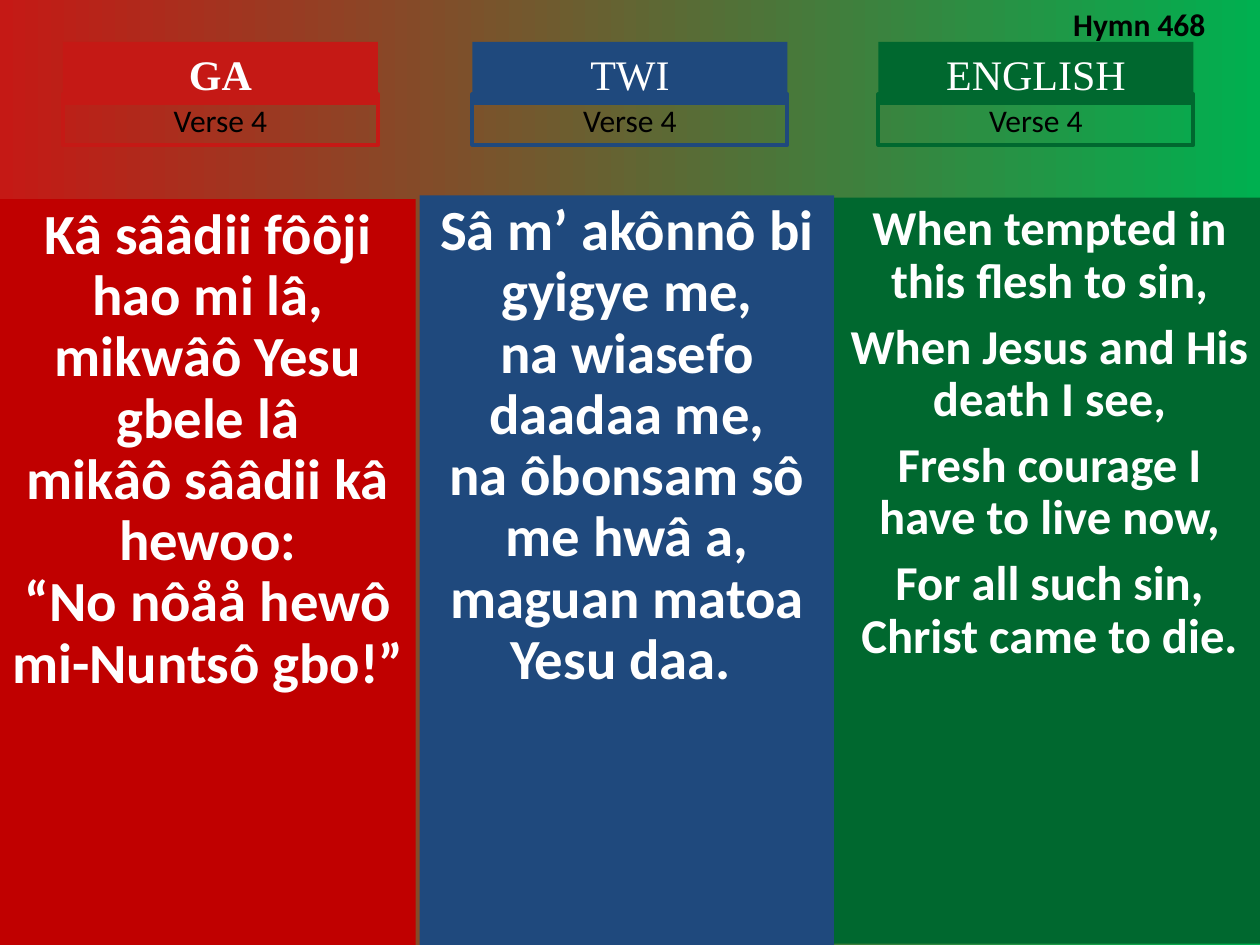
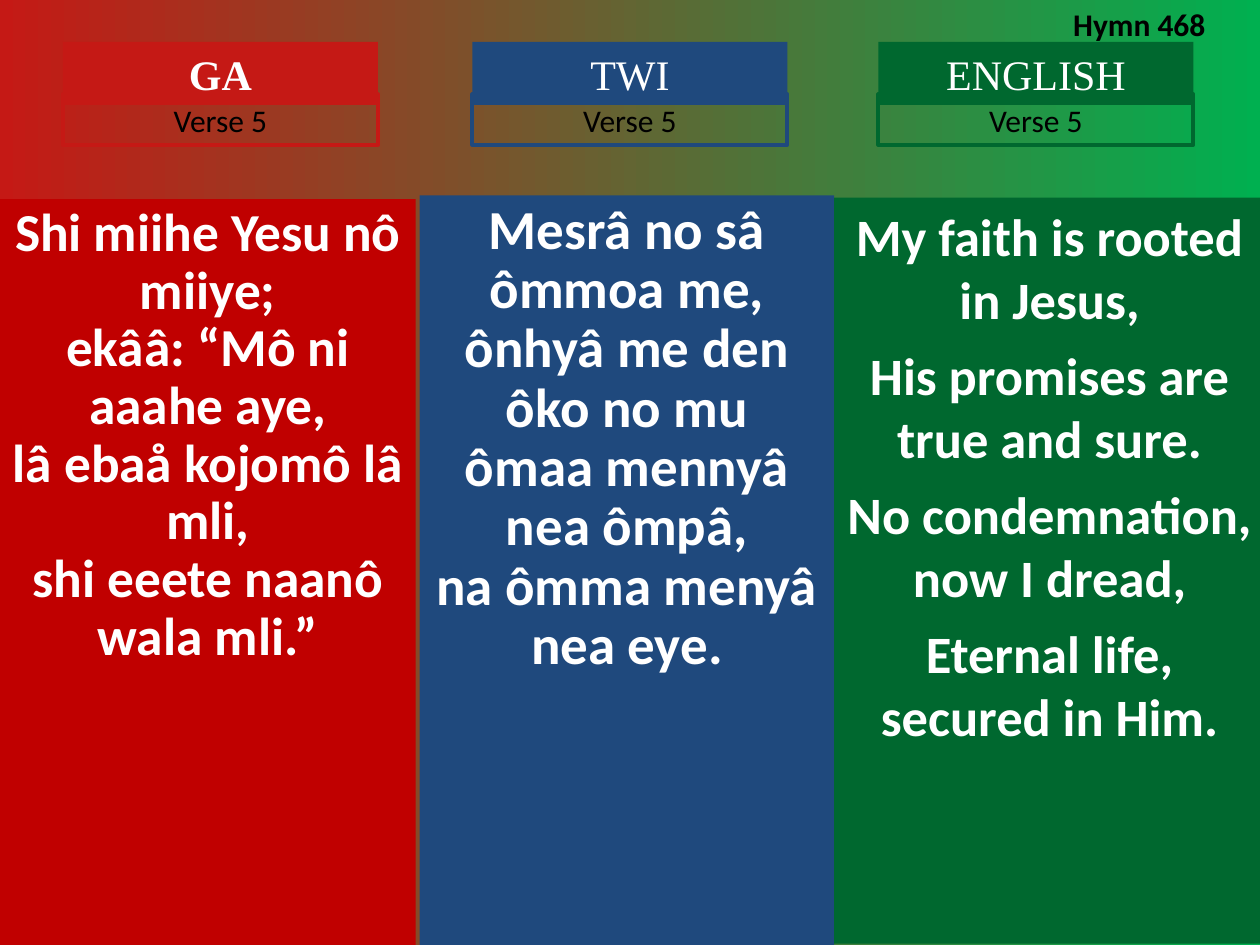
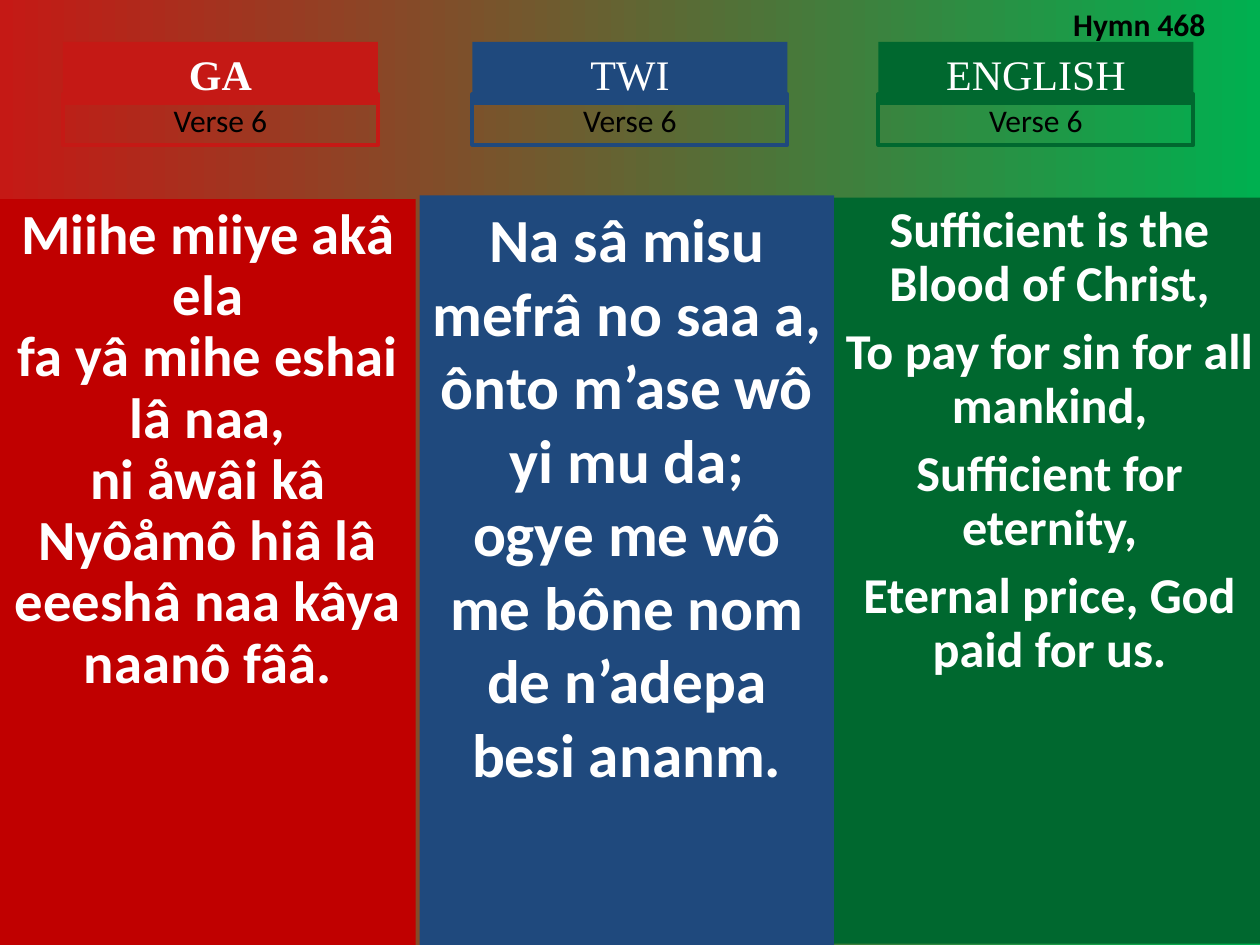
from pptx import Presentation
from pptx.dml.color import RGBColor
from pptx.enum.shapes import MSO_SHAPE
from pptx.enum.text import MSO_ANCHOR, MSO_AUTO_SIZE, PP_ALIGN
from pptx.util import Pt

RED, GREEN = "C51915", "00B050"
WHITE, BLACK = "FFFFFF", "000000"
SANS, SERIF = "Calibri", "Times New Roman"

# Language, bold title, head colour, body colour, head left, body box
COLUMNS = [
    ("GA", True, RED, "C00000", 36, (0, 113.8, 237.6, 426.2)),
    ("TWI", False, "1F497D", "1F497D", 270, (239.8, 111.6, 236.9, 428.4)),
    ("ENGLISH", False, "00682F", "00682F", 502, (476.7, 113, 246.2, 426.2)),
]

# Verse number, then for each column: size, line spacing, space before, lines
VERSES = [
    (4, [
        (32.4, 0.9, 0, [
            "Kâ sââdii fôôji hao mi lâ,",
            "mikwâô Yesu gbele lâ",
            "mikâô sââdii kâ hewoo:",
            "“No nôåå hewô mi-Nuntsô gbo!”"]),
        (32.4, 0.9, 0, [
            "Sâ m’ akônnô bi gyigye me,",
            "na wiasefo daadaa me,",
            "na ôbonsam sô me hwâ a,",
            "maguan matoa Yesu daa. "]),
        (27.8, 0.9, 7.5, [
            "When tempted in this flesh to sin,",
            "When Jesus and His death I see,",
            "Fresh courage I have to live now,",
            "For all such sin, Christ came to die."]),
    ]),
    (5, [
        (30.5, 0.9, 0, [
            "Shi miihe Yesu nô miiye;",
            "ekââ: “Mô ni aaahe aye,",
            "lâ ebaå kojomô lâ mli,",
            "shi eeete naanô wala mli.”"]),
        (31.4, 0.9, 0, [
            "Mesrâ no sâ ômmoa me,",
            "ônhyâ me den ôko no mu",
            "ômaa mennyâ nea ômpâ,",
            "na ômma menyâ nea eye."]),
        (30, 1.0, 7.5, [
            "My faith is rooted in Jesus,",
            "His promises are true and sure.",
            "No condemnation, now I dread,",
            "Eternal life, secured in Him."]),
    ]),
    (6, [
        (32.4, 0.9, 0, [
            "Miihe miiye akâ ela",
            "fa yâ mihe eshai lâ naa,",
            "ni åwâi kâ Nyôåmô hiâ lâ",
            "eeeshâ naa kâya naanô fââ."]),
        (35, 1.0, 0, [
            "Na sâ misu mefrâ no saa a,",
            "ônto m’ase wô yi mu da;",
            "ogye me wô me bône nom",
            "de n’adepa besi ananm."]),
        (28.7, 0.9, 7.7, [
            "Sufficient is the Blood of Christ,",
            "To pay for sin for all mankind,",
            "Sufficient for eternity,",
            "Eternal price, God paid for us."]),
    ]),
]


def rgb(code):
    return RGBColor.from_string(code)


def write(shape, lines, size, color, font=SANS, bold=False,
          align=PP_ALIGN.CENTER, pitch=1.0, gap=0, side=7.2):
    frame = shape.text_frame
    frame.word_wrap = True
    frame.vertical_anchor = MSO_ANCHOR.TOP
    frame.margin_left = frame.margin_right = Pt(side)
    frame.margin_top = frame.margin_bottom = Pt(3.6)
    for i, line in enumerate(lines):
        para = frame.add_paragraph() if i else frame.paragraphs[0]
        para.text = line
        para.alignment = align
        para.line_spacing = pitch
        para.space_before = Pt(gap if i else 0)
        para.font.name, para.font.size = font, Pt(size)
        para.font.bold, para.font.color.rgb = bold, rgb(color)


def panel(slide, box, fill=None, line=None):
    shape = slide.shapes.add_shape(MSO_SHAPE.RECTANGLE, *map(Pt, box))
    shape.shadow.inherit = False
    if fill:
        shape.fill.solid()
        shape.fill.fore_color.rgb = rgb(fill)
    else:
        shape.fill.background()
    if line:
        shape.line.color.rgb = rgb(line)
        shape.line.width = Pt(2.25)
    else:
        shape.line.fill.background()
    return shape


def backdrop(slide):
    fill = slide.background.fill
    fill.gradient()
    fill.gradient_angle = 0
    for stop, place, color in zip(fill.gradient_stops, (0, 1), (RED, GREEN)):
        stop.position = place
        stop.color.rgb = rgb(color)


def head(slide, left, top, title, bold, color, number):
    # Language band
    band = panel(slide, (left, top, 180, 36), fill=color)
    write(band, [title], 24, WHITE, SERIF, bold)
    # Verse frame, overlapping the band's foot
    frame = panel(slide, (left, top + 30, 180, 28.8), line=color)
    write(frame, [f"Verse {number}"], 18, BLACK)


def body(slide, box, color, size, pitch, gap, lines):
    shape = panel(slide, box, fill=color)
    write(shape, lines, size, WHITE, bold=True, pitch=pitch, gap=gap, side=6)


def label(slide, box, text):
    shape = slide.shapes.add_textbox(*map(Pt, box))
    write(shape, [text], 18, BLACK, bold=True, align=PP_ALIGN.LEFT)
    shape.text_frame.auto_size = MSO_AUTO_SIZE.SHAPE_TO_FIT_TEXT


def verse(deck, number, texts):
    slide = deck.slides.add_slide(deck.slide_layouts[6])
    backdrop(slide)
    for column, text in zip(COLUMNS, texts):
        title, bold, tint, color, left, box = column
        body(slide, box, color, *text)
        head(slide, left, 24, title, bold, tint, number)
    label(slide, (606.2, -0.7, 108, 28.8), "Hymn 468")


def main():
    deck = Presentation()
    deck.slide_width, deck.slide_height = Pt(720), Pt(540)
    for number, texts in VERSES:
        verse(deck, number, texts)
    deck.save("out.pptx")


if __name__ == "__main__":
    main()
